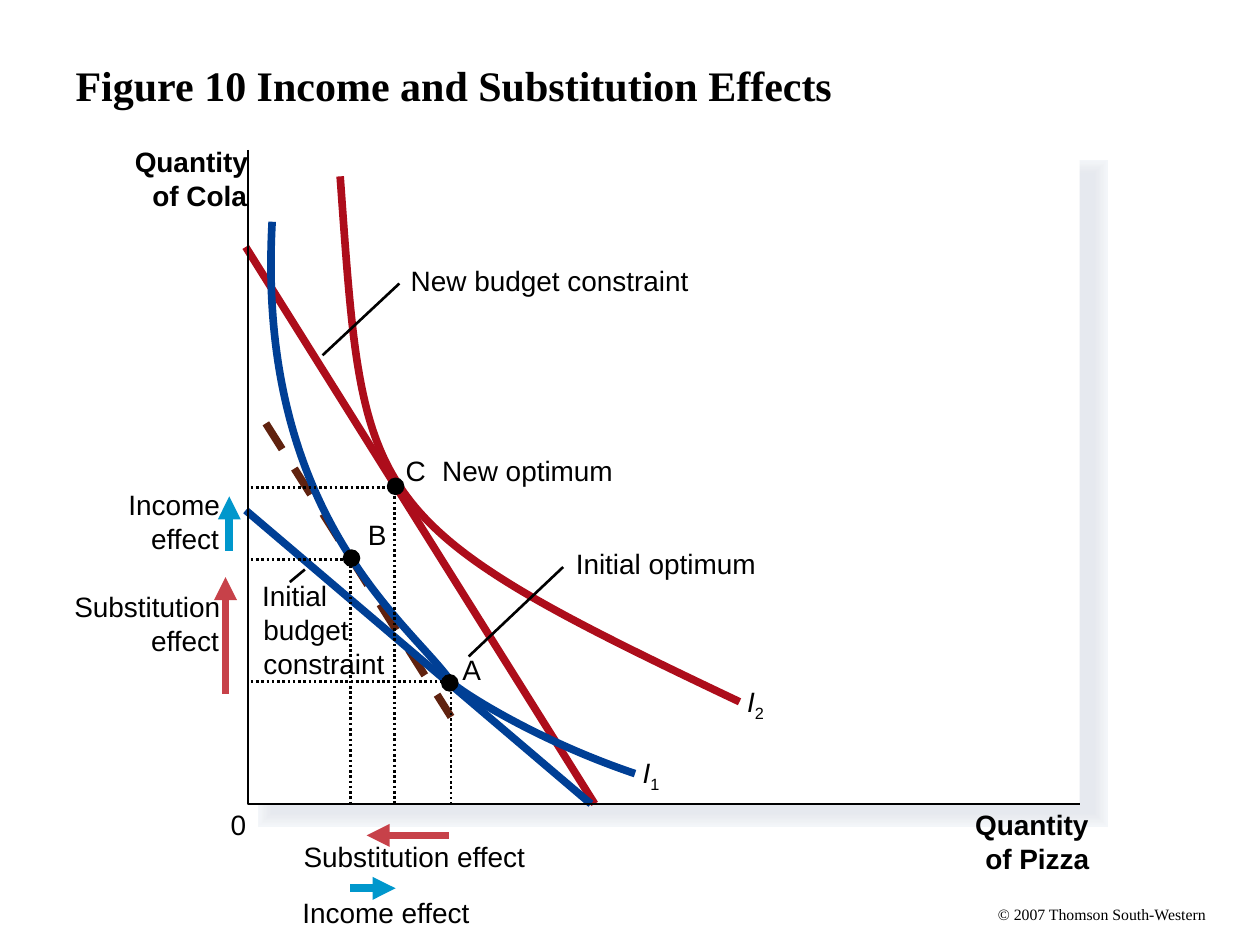
from lxml import etree
from pptx import Presentation
from pptx.dml.color import RGBColor
from pptx.enum import dml, shapes, text
from pptx.oxml.ns import qn
from pptx.util import Inches, Pt

BLACK, WHITE = "000000", "FFFFFF"
RED, BLUE, BROWN = "AD0D1B", "003F95", "60220F"
SUBSTITUTION, INCOME = "C74149", "0097CC"
DASH, DOTS = dml.MSO_LINE.DASH, dml.MSO_LINE.ROUND_DOT
CURVE_WIDTH, ARROW_WIDTH, THIN = 4.37, 4.39, 1.5
LINE_STEP = 0.27
ORIGIN_X, ORIGIN_Y = 1.97, 6.38
PLOT = (ORIGIN_X, 1.19, 6.6, 5.19)

# Shadow layers behind the plot: colour and outline width
SHADOW_LAYERS = [
    ("F3F6F9", 16.13), ("F2F4F8", 14.63), ("F1F4F7", 13.12), ("F0F2F5", 11.75),
    ("EEF1F4", 10.25), ("EDEFF3", 8.75), ("EBEEF2", 7.25), ("EAECF1", 5.87),
    ("E9EBF0", 4.37), ("E7EAEF", 2.86), ("E6E9EF", 1.5),
]


def colour(hex_string):
    return RGBColor.from_string(hex_string)


def format_line(line, line_colour, width, dash=None):
    line.color.rgb = colour(line_colour)
    line.width = Pt(width)
    if dash is not None:
        line.dash_style = dash


def add_run(paragraph, words, size=16, font="Arial", bold=False, italic=False, subscript=False):
    run = paragraph.add_run()
    run.text = words
    run.font.size = Pt(size)
    run.font.name = font
    run.font.bold = bold
    run.font.italic = italic
    run.font.color.rgb = colour(BLACK)
    if subscript:
        run._r.get_or_add_rPr().set("baseline", "-25000")


def add_label(slide, words, left, top, width, height=LINE_STEP, subscript="", **style):
    box = slide.shapes.add_textbox(Inches(left), Inches(top), Inches(width), Inches(height))
    frame = box.text_frame
    frame.margin_left = frame.margin_right = frame.margin_top = frame.margin_bottom = 0
    frame.word_wrap = False
    frame.auto_size = text.MSO_AUTO_SIZE.SHAPE_TO_FIT_TEXT
    paragraph = frame.paragraphs[0]
    add_run(paragraph, words, **style)
    if subscript:
        add_run(paragraph, subscript, subscript=True)


def add_stack(slide, top, lines, **style):
    """Lines of one label, each given as words, left and width."""
    for index, (words, left, width) in enumerate(lines):
        add_label(slide, words, left, top + index * LINE_STEP, width, **style)


def add_block(slide, kind, left, top, width, height, fill, outline=None):
    shape = slide.shapes.add_shape(kind, Inches(left), Inches(top), Inches(width), Inches(height))
    shape.shadow.inherit = False
    shape.fill.solid()
    shape.fill.fore_color.rgb = colour(fill)
    if outline:
        format_line(shape.line, fill, outline)
        line = shape._element.spPr.find(qn("a:ln"))
        etree.SubElement(line, qn("a:miter"), lim="800000")
    else:
        shape.line.fill.background()


def add_line(slide, start, end, line_colour=BLACK, width=THIN, dash=None, arrow=False):
    """Straight line; an arrow points at its start."""
    ends = [Inches(value) for value in (*start, *end)]
    connector = slide.shapes.add_connector(shapes.MSO_CONNECTOR.STRAIGHT, *ends)
    format_line(connector.line, line_colour, width, dash)
    properties = connector._element.spPr
    if arrow:
        etree.SubElement(properties.find(qn("a:ln")), qn("a:headEnd"), type="triangle")
    etree.SubElement(properties, qn("a:effectLst"))


def add_path(slide, points, line_colour=BLACK, width=THIN, dash=None):
    corners = [(Inches(x), Inches(y)) for x, y in points]
    builder = slide.shapes.build_freeform(*corners[0])
    builder.add_line_segments(corners[1:], close=False)
    shape = builder.convert_to_shape()
    shape.shadow.inherit = False
    shape.fill.background()
    format_line(shape.line, line_colour, width, dash)
    return shape


def add_curve(slide, points, line_colour):
    """Start point, then two control points and an end point per cubic piece."""
    shape = add_path(slide, points, line_colour, CURVE_WIDTH)
    segments = list(shape._element.iter(qn("a:lnTo")))
    for first in range(0, len(segments), 3):
        piece = segments[first:first + 3]
        cubic = etree.Element(qn("a:cubicBezTo"))
        piece[0].addprevious(cubic)
        for segment in piece:
            cubic.append(segment[0])
            segment.getparent().remove(segment)


def add_optimum(slide, name, x, y, dot, label):
    """Dotted guides to both axes, a dot and its letter."""
    add_path(slide, [(1.99, y), (x, y), (x, ORIGIN_Y)], dash=DOTS)
    add_block(slide, shapes.MSO_SHAPE.OVAL, *dot, 0.14, 0.14, BLACK)
    add_label(slide, name, *label, 0.16)


def add_title(slide, words):
    title = slide.shapes.title
    title.left, title.top, title.width, title.height = map(Inches, (0.5, 0.05, 9, 1.25))
    frame = title.text_frame
    frame.auto_size = text.MSO_AUTO_SIZE.NONE
    frame.vertical_anchor = text.MSO_ANCHOR.MIDDLE
    paragraph = frame.paragraphs[0]
    paragraph.alignment = text.PP_ALIGN.LEFT
    add_run(paragraph, words, size=24, font="Times New Roman", bold=True)


def main():
    presentation = Presentation()
    presentation.slide_width, presentation.slide_height = Inches(10), Inches(7.5)
    slide = presentation.slides.add_slide(presentation.slide_layouts[5])
    rectangle = shapes.MSO_SHAPE.RECTANGLE

    add_label(slide, "© 2007 Thomson South-Western", 7.92, 7.18, 1.66, 0.15,
              size=9, font="Times New Roman")
    add_title(slide, "Figure 10 Income and Substitution Effects")

    # Plot area with its soft shadow
    for layer_colour, width in SHADOW_LAYERS:
        add_block(slide, rectangle, 2.16, 1.38, 6.52, 5.07, layer_colour, width)
    add_block(slide, rectangle, *PLOT, WHITE)

    # Budget constraints and substitution arrows
    add_line(slide, (2.11, 3.36), (3.58, 5.69), BROWN, CURVE_WIDTH, DASH)
    add_line(slide, (1.79, 4.58), (1.79, 5.51), SUBSTITUTION, ARROW_WIDTH, arrow=True)
    add_line(slide, (2.91, 6.63), (3.56, 6.63), SUBSTITUTION, ARROW_WIDTH, arrow=True)
    add_line(slide, (1.95, 1.96), (4.72, ORIGIN_Y), RED, CURVE_WIDTH)
    add_line(slide, (1.95, 4.05), (4.69, ORIGIN_Y), BLUE, CURVE_WIDTH)

    # Axis labels
    add_stack(slide, 6.41, [("Quantity", 7.74, 0.9), ("of Pizza", 7.82, 0.83)], bold=True)
    add_stack(slide, 1.15, [("Quantity", 1.07, 0.9), ("of Cola", 1.21, 0.76)], bold=True)
    add_label(slide, "0", 1.83, 6.41, 0.12)

    # Indifference curves
    add_curve(slide, [(2.16, 1.76), (2.03, 4.11), (3.27, 4.96), (3.58, 5.41),
                      (3.6, 5.45), (4.21, 5.86), (5.04, 6.14)], BLUE)
    add_label(slide, "I", 5.1, 6, 0.16, 0.3, subscript="1", italic=True)
    add_curve(slide, [(2.7, 1.4), (2.89, 4.01), (2.83, 4.13), (5.87, 5.57)], RED)
    add_label(slide, "I", 5.93, 5.43, 0.16, 0.3, subscript="2", italic=True)

    # Initial optimum and new constraint
    add_optimum(slide, "A", 3.58, 5.41, (3.5, 5.35), (3.67, 5.18))
    add_line(slide, (3.72, 5.21), (4.47, 4.5))
    add_label(slide, "Initial optimum", 4.57, 4.34, 1.43)
    add_line(slide, (2.56, 2.82), (3.17, 2.25))
    add_label(slide, "New budget constraint", 3.26, 2.09, 2.21)

    # Income arrows
    add_line(slide, (1.82, 3.94), (1.82, 4.37), INCOME, ARROW_WIDTH, arrow=True)
    add_line(slide, (3.14, 7.05), (2.78, 7.05), INCOME, ARROW_WIDTH, arrow=True)

    # Initial constraint
    add_block(slide, rectangle, 2.68, 5.15, 0.29, 0.24, WHITE)
    add_line(slide, (2.3, 4.62), (2.42, 4.52))
    add_stack(slide, 4.59, [("Initial", 2.08, 0.52), ("budget", 2.09, 0.68),
                            ("constraint", 2.09, 0.98)])

    # Effect labels
    add_stack(slide, 4.68, [("Substitution", 0.59, 1.16), ("effect", 1.2, 0.54)])
    add_label(slide, "Substitution effect", 2.41, 6.66, 1.76)
    add_stack(slide, 3.87, [("Income", 1.02, 0.73), ("effect", 1.2, 0.54)])
    add_label(slide, "Income effect", 2.4, 7.11, 1.33)

    # Remaining optimum points
    add_optimum(slide, "B", 2.78, 4.44, (2.72, 4.36), (2.92, 4.11))
    add_optimum(slide, "C", 3.13, 3.87, (3.07, 3.79), (3.22, 3.6))
    add_label(slide, "New optimum", 3.51, 3.6, 1.36)

    # Axes
    add_path(slide, [(ORIGIN_X, 1.19), (ORIGIN_X, ORIGIN_Y), (8.57, ORIGIN_Y)])
    presentation.save("out.pptx")


if __name__ == "__main__":
    main()
